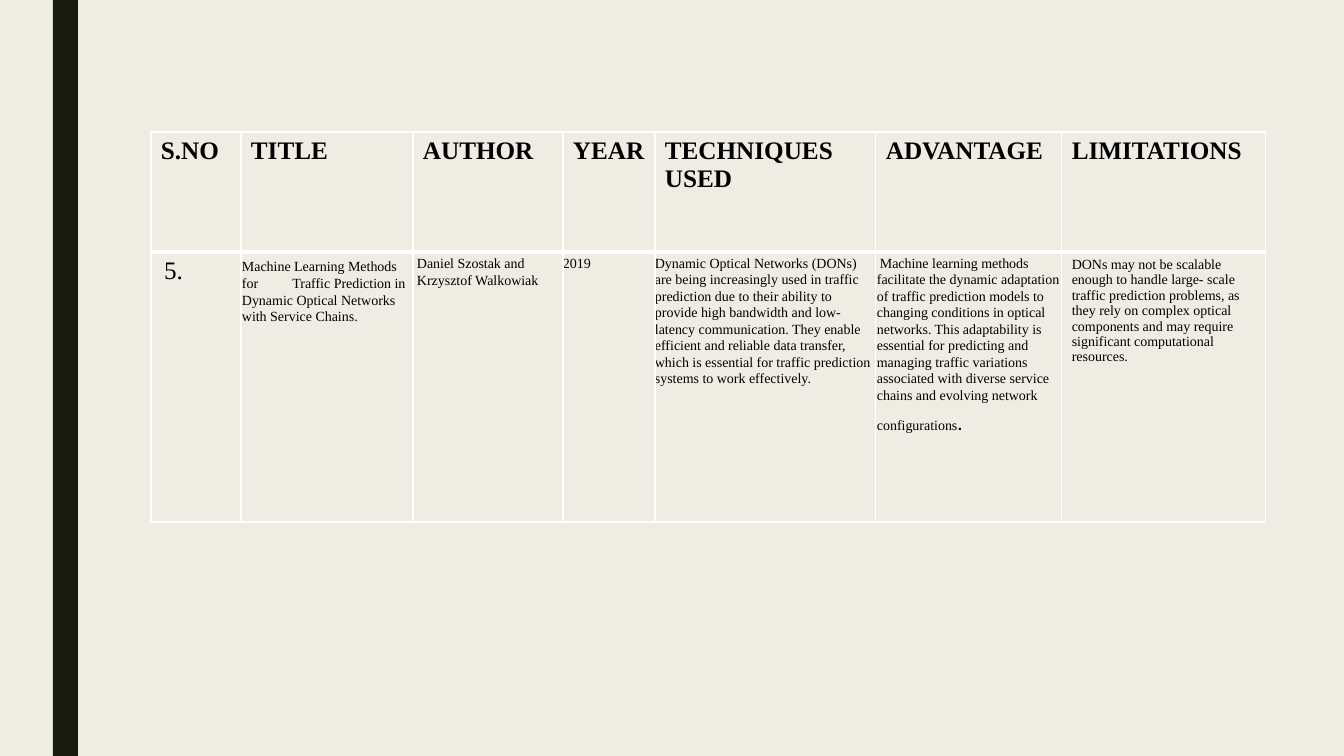
import pptx
import pptx.util
import pptx.dml.color
import pptx.enum.shapes
import pptx.enum.text
import pptx.oxml.ns
import lxml.etree

# Content
COLORS = {"page": "EFEDE3", "bar": "191B0E", "text": "000000", "border": "FFFFFF"}
FONT = "Times New Roman"
HEADERS = ["S.NO", "TITLE", "AUTHOR", "YEAR", "TECHNIQUES USED", "ADVANTAGE", "LIMITATIONS"]

# One entry per cell: paragraphs, each a list of (text, run format) and a paragraph format
BODY = [
    [([("5.", {"size": 18})], {"left": 13})],
    [([("\t", {"size": 11, "font": "Calibri"}),
       ("Machine Learning Methods for \tTraffic Prediction in Dynamic Optical "
        "Networks with Service Chains.", {})],
      {"left": 1, "first": -1, "after": 2.1, "tabs": (28, 126)})],
    [([("Daniel Szostak and", {})], {"left": 4, "after": 0.6}),
     ([("Krzysztof Walkowiak", {})], {"left": 4})],
    [([("2019", {})], {})],
    [([("Dynamic Optical Networks (DONs) are being increasingly used in traffic "
        "prediction due to their ability to provide high bandwidth and low-latency "
        "communication. They enable efficient and reliable data transfer, which is "
        "essential for traffic prediction systems to work effectively.", {})], {})],
    [([("Machine learning methods facilitate the dynamic adaptation of traffic "
        "prediction models to changing conditions in optical networks. This "
        "adaptability is essential for predicting and managing traffic variations "
        "associated with diverse service chains and evolving network configurations", {}),
       (".", {"size": 18, "font": "Cabin"})], {"left": 1, "first": 3})],
    [([("DONs may not be scalable enough to handle large- scale traffic prediction "
        "problems, as they rely on complex optical components and may require "
        "significant computational resources.", {})], {"spacing": 1.0, "after": 0})],
]

# Layout in px
SLIDE = (1344, 756)
BAR = (53, 0, 25, 756)
TABLE_AT = (151, 132)
COLS = [90, 172, 150, 92, 221, 186, 204]
ROWS = [120, 270]
PADDED = (10, 5, 10, 5)
TIGHT = (0, 3, 0, 0)


def px(n):
    return pptx.util.Emu(round(n * 914400 / 100.8))


def rgb(name):
    return pptx.dml.color.RGBColor.from_string(COLORS[name])


def add_text(p, text, size=10, font=FONT, bold=False):
    r = p.add_run()
    r.text = text
    r.font.size = pptx.util.Pt(size)
    r.font.name = font
    r.font.bold = bold
    r.font.color.rgb = rgb("text")


def child(parent, tag, **attrs):
    return lxml.etree.SubElement(parent, pptx.oxml.ns.qn(tag), attrs)


def format_paragraph(p, left=0, first=0, spacing=1.07, after=0.1, tabs=()):
    p.line_spacing = spacing
    p.space_after = pptx.util.Pt(after)
    pPr = p._p.get_or_add_pPr()
    pPr.set("marL", str(px(left)))
    pPr.set("indent", str(px(first)))
    if tabs:
        tab_list = child(pPr, "a:tabLst")
        for pos in tabs:
            child(tab_list, "a:tab", pos=str(px(pos)), algn="ctr")


def format_cell(cell, margins, top, bottom):
    cell.margin_left, cell.margin_top, cell.margin_right, cell.margin_bottom = map(px, margins)
    cell.vertical_anchor = pptx.enum.text.MSO_ANCHOR.TOP
    tcPr = cell._tc.get_or_add_tcPr()
    for side, width in (("L", 1), ("R", 1), ("T", top), ("B", bottom)):
        ln = child(tcPr, "a:ln" + side, w=str(pptx.util.Pt(width)))
        child(child(ln, "a:solidFill"), "a:srgbClr", val=COLORS["border"])
    cell.fill.background()


prs = pptx.Presentation()
prs.slide_width, prs.slide_height = map(px, SLIDE)
s = prs.slides.add_slide(prs.slide_layouts[6])

# Background and side bar
s.background.fill.solid()
s.background.fill.fore_color.rgb = rgb("page")
bar = s.shapes.add_shape(pptx.enum.shapes.MSO_SHAPE.RECTANGLE, *map(px, BAR))
bar.shadow.inherit = False
bar.fill.solid()
bar.fill.fore_color.rgb = rgb("bar")
bar.line.fill.background()

# Table grid
table = s.shapes.add_table(len(ROWS), len(COLS), *map(px, TABLE_AT),
                           px(sum(COLS)), px(sum(ROWS))).table
table.first_row = False
table.horz_banding = False
for column, width in zip(table.columns, COLS):
    column.width = px(width)
for row, height in zip(table.rows, ROWS):
    row.height = px(height)

# Header row
for i, header in enumerate(HEADERS):
    cell = table.cell(0, i)
    format_cell(cell, PADDED, 1, 3)
    add_text(cell.text_frame.paragraphs[0], header, size=18, bold=True)

# Body row
for i, paragraphs in enumerate(BODY):
    cell = table.cell(1, i)
    format_cell(cell, PADDED if i == len(BODY) - 1 else TIGHT, 3, 1)
    tf = cell.text_frame
    for n, (runs, layout) in enumerate(paragraphs):
        p = tf.add_paragraph() if n else tf.paragraphs[0]
        format_paragraph(p, **layout)
        for text, style in runs:
            add_text(p, text, **style)

prs.save("out.pptx")
